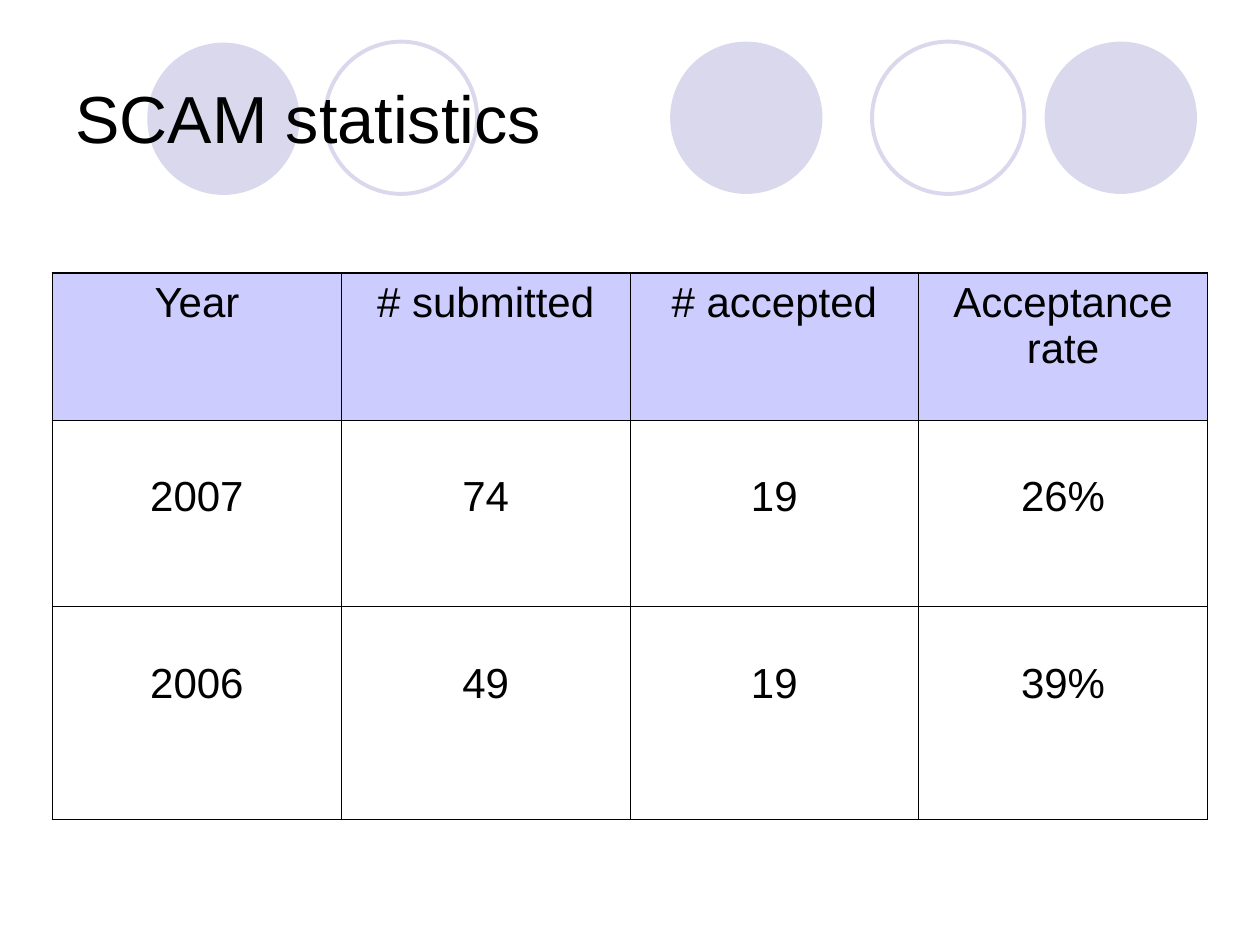
import dataclasses

import lxml.etree
import pptx
import pptx.dml.color
import pptx.enum.shapes
import pptx.enum.text
import pptx.oxml.ns
import pptx.util

Cm = pptx.util.Cm
Pt = pptx.util.Pt

COLORS = {"ink": "000000", "disc": "D9D8EC", "head": "CCCCFF"}
FONT = "Arial"
THIN, THICK = 0.45, 1.08
SIZE = 3.07
ROWS = [
    ["Year", "# submitted", "# accepted", "Acceptance rate"],
    ["2007", "74", "19", "26%"],
    ["2006", "49", "19", "39%"],
]
HEIGHTS = [2.97, 3.76, 4.29]
WIDTH = 5.82


@dataclasses.dataclass
class Disc:
    left: float
    top: float
    solid: bool


DISCS = [
    Disc(13.51, 0.84, True),
    Disc(21.06, 0.84, True),
    Disc(2.97, 0.86, True),
    Disc(17.58, 0.84, False),
    Disc(6.55, 0.84, False),
]


def color(name: str) -> pptx.dml.color.RGBColor:
    return pptx.dml.color.RGBColor.from_string(COLORS[name])


def draw_disc(slide, disc: Disc) -> None:
    shape = slide.shapes.add_shape(
        pptx.enum.shapes.MSO_SHAPE.OVAL,
        Cm(disc.left), Cm(disc.top), Cm(SIZE), Cm(SIZE))
    shape.shadow.inherit = False
    if disc.solid:
        shape.fill.solid()
        shape.fill.fore_color.rgb = color("disc")
        shape.line.fill.background()
    else:
        shape.fill.background()
        shape.line.color.rgb = color("disc")
        shape.line.width = Pt(2.25)


def write(frame, text: str, size: float, align) -> None:
    frame.text = text
    para = frame.paragraphs[0]
    para.alignment = align
    font = para.runs[0].font
    font.name = FONT
    font.size = Pt(size)
    font.color.rgb = color("ink")


def draw_title(slide, text: str) -> None:
    box = slide.shapes.add_textbox(Cm(1.27), Cm(0.76), Cm(22.86), Cm(3.18))
    frame = box.text_frame
    frame.word_wrap = True
    frame.vertical_anchor = pptx.enum.text.MSO_ANCHOR.MIDDLE
    write(frame, text, 38, pptx.enum.text.PP_ALIGN.LEFT)


def add_edge(cell, side: str, width: float) -> None:
    qn = pptx.oxml.ns.qn
    props = cell._tc.get_or_add_tcPr()
    line = lxml.etree.SubElement(props, qn(f"a:ln{side}"), w=str(int(Pt(width))))
    fill = lxml.etree.SubElement(line, qn("a:solidFill"))
    lxml.etree.SubElement(fill, qn("a:srgbClr"), val=COLORS["ink"])


def draw_table(slide) -> None:
    count, span = len(ROWS), len(ROWS[0])
    table = slide.shapes.add_table(
        count, span, Cm(1.06), Cm(5.5),
        Cm(WIDTH * span), Cm(sum(HEIGHTS))).table
    table.first_row = False
    table.horz_banding = False
    for col in table.columns:
        col.width = Cm(WIDTH)
    for r, (texts, height) in enumerate(zip(ROWS, HEIGHTS)):
        table.rows[r].height = Cm(height)
        for c, text in enumerate(texts):
            cell = table.cell(r, c)
            write(cell.text_frame, text, 24, pptx.enum.text.PP_ALIGN.CENTER)
            outer = {"L": c == 0, "R": c == span - 1,
                     "T": r == 0, "B": r == count - 1}
            for side, edge in outer.items():
                add_edge(cell, side, THICK if edge else THIN)
            if r == 0:
                cell.fill.solid()
                cell.fill.fore_color.rgb = color("head")
            else:
                cell.fill.background()
                cell.margin_top = Cm(1.08)


def main() -> None:
    deck = pptx.Presentation()
    deck.slide_width = Cm(25.4)
    deck.slide_height = Cm(19.05)
    slide = deck.slides.add_slide(deck.slide_layouts[6])
    for disc in DISCS:
        draw_disc(slide, disc)
    draw_title(slide, "SCAM statistics")
    draw_table(slide)
    deck.save("out.pptx")


if __name__ == "__main__":
    main()
